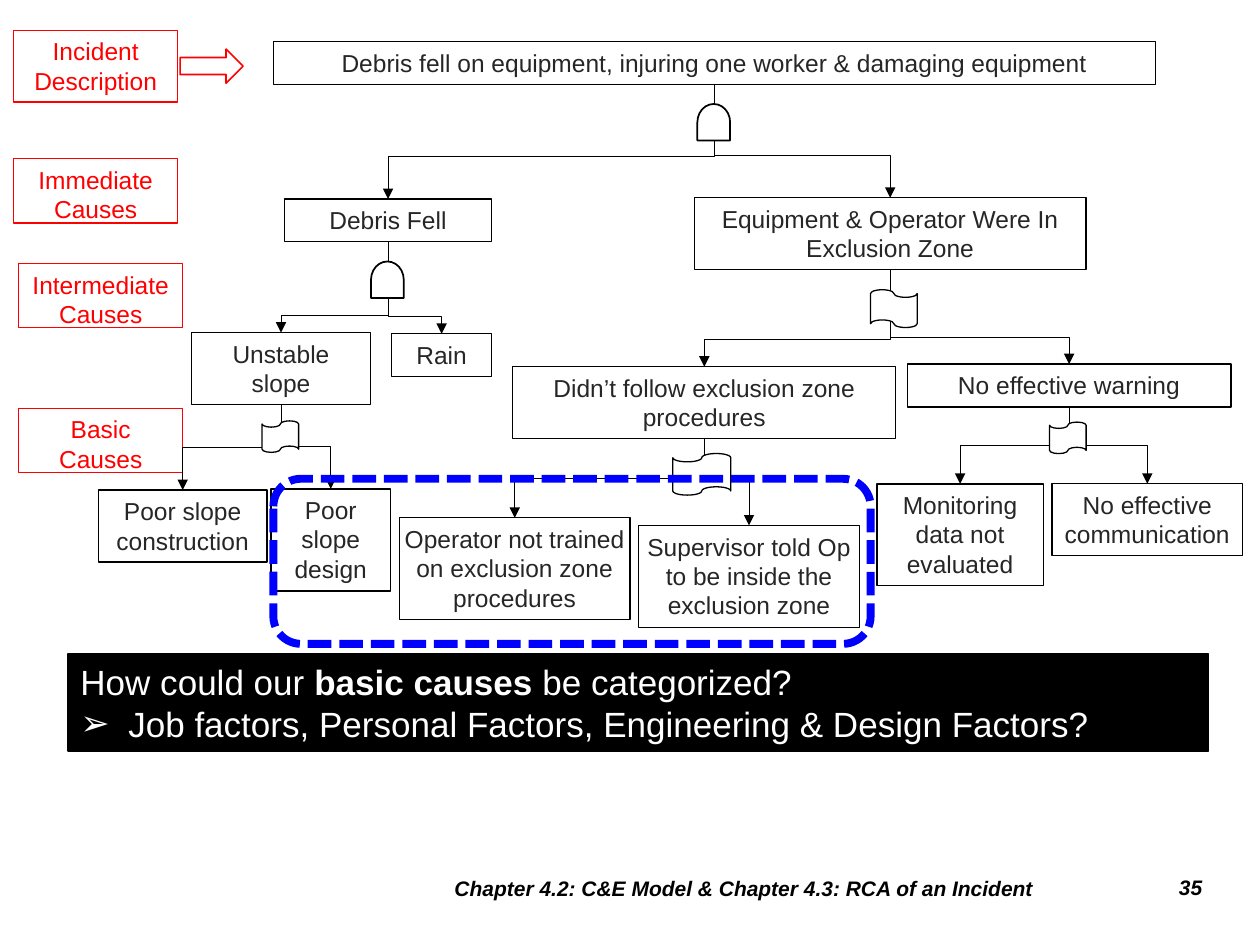
from lxml import etree
from pptx import Presentation
from pptx import util as u
from pptx.dml.color import RGBColor
from pptx.enum import dml, shapes, text
from pptx.oxml.ns import qn

WIDTH, HEIGHT = 10, 7.5
COLS, ROWS = 10, 7.5
COLORS = {"black": "000000", "white": "FFFFFF", "ink": "262626",
          "red": "FF0000", "blue": "0000FF"}
KIND = shapes.MSO_SHAPE
ALIGN = text.PP_ALIGN

STAGES = [
    ("Incident Description", (0.11, 0.24, 1.3, 0.57)),
    ("Immediate Causes", (0.11, 1.26, 1.3, 0.51)),
    ("Intermediate Causes", (0.15, 2.09, 1.3, 0.51)),
    ("Basic Causes", (0.15, 3.24, 1.3, 0.51)),
]

CAUSES = {
    "incident": ("Debris fell on equipment, injuring one worker & damaging equipment",
                 (2.17, 0.33, 7, 0.34)),
    "debris": ("Debris Fell", (2.26, 1.58, 1.64, 0.34)),
    "zone": ("Equipment & Operator Were In Exclusion Zone", (5.51, 1.57, 3.11, 0.57)),
    "slope": ("Unstable slope", (1.52, 2.64, 1.42, 0.57)),
    "rain": ("Rain", (3.11, 2.65, 0.79, 0.34)),
    "procedures": ("Didn’t follow exclusion zone procedures", (4.07, 2.91, 3.04, 0.57)),
    "warning": ("No effective warning", (7.2, 2.89, 2.57, 0.34)),
    "construction": ("Poor slope construction", (0.78, 3.89, 1.34, 0.57)),
    "design": ("Poor slope design", (2.15, 3.88, 0.95, 0.81)),
    "training": ("Operator not trained on exclusion zone procedures",
                 (3.17, 4.11, 1.83, 0.81)),
    "supervisor": ("Supervisor told Op to be inside the exclusion zone",
                   (5.07, 4.17, 1.75, 0.81)),
    "monitoring": ("Monitoring data not evaluated", (6.96, 3.84, 1.32, 0.81)),
    "communication": ("No effective communication", (8.35, 3.84, 1.51, 0.57)),
}
TIGHT = {"training", "supervisor"}

# parent, children, share of the drop before the bend, gate kind, gate place
AND, OR = KIND.FLOWCHART_DELAY, KIND.FLOWCHART_PUNCHED_TAPE
GATES = [
    ("incident", ("debris", "zone"), 0.63, AND, (5.52, 0.84, 0.29, 0.26)),
    ("debris", ("slope", "rain"), 0.81, AND, (2.93, 2.09, 0.29, 0.26)),
    ("zone", ("procedures", "warning"), 0.72, OR, (6.91, 2.3, 0.37, 0.3)),
    ("slope", ("construction", "design"), 0.5, OR, (2.08, 3.34, 0.29, 0.25)),
    ("procedures", ("training", "supervisor"), 0.5, OR, (5.34, 3.6, 0.46, 0.33)),
    ("warning", ("monitoring", "communication"), 0.5, OR, (8.33, 3.35, 0.29, 0.25)),
]


def rgb(name):
    return RGBColor.from_string(COLORS[name])


def write(p, words, size=14, color="ink", bold=None, italic=None,
          align=ALIGN.CENTER, font="Arial"):
    """Add one run to a paragraph."""
    p.alignment = align
    r = p.add_run()
    r.text = words
    f = r.font
    f.name, f.size, f.bold, f.italic = font, u.Pt(size), bold, italic
    f.color.rgb = rgb(color)


def bullet(p, char, indent):
    pPr = p._p.get_or_add_pPr()
    pPr.set("marL", str(u.Inches(indent)))
    pPr.set("indent", str(-u.Inches(indent)))
    etree.SubElement(pPr, qn("a:buFont"), typeface="Arial")
    etree.SubElement(pPr, qn("a:buChar"), char=char)


class Chart:
    """The fault tree's slide and the style of its elements."""

    def __init__(self, prs):
        self.col, self.row = prs.slide_width / COLS, prs.slide_height / ROWS
        self.s = prs.slides.add_slide(prs.slide_layouts[6])

    def place(self, left, top, width, height):
        return [round(n) for n in (left * self.col, top * self.row,
                                   width * self.col, height * self.row)]

    def shape(self, kind, at, fill="white", line="black", weight=0.75):
        sp = self.s.shapes.add_shape(kind, *self.place(*at))
        sp.shadow.inherit = False
        if fill:
            sp.fill.solid()
            sp.fill.fore_color.rgb = rgb(fill)
        else:
            sp.fill.background()
        sp.line.color.rgb = rgb(line)
        sp.line.width = u.Pt(weight)
        return sp

    def frame(self, sp, anchor=text.MSO_ANCHOR.TOP, side=0.1):
        tf = sp.text_frame
        tf.word_wrap = True
        tf.vertical_anchor = anchor
        tf.margin_left = tf.margin_right = u.Inches(side)
        tf.margin_top = tf.margin_bottom = u.Inches(0.05)
        return tf

    def box(self, words, at, line="black", color="ink", side=0.1):
        tf = self.frame(self.shape(KIND.RECTANGLE, at, line=line), side=side)
        write(tf.paragraphs[0], words, color=color)

    def label(self, words, at, anchor=text.MSO_ANCHOR.TOP, **fmt):
        tf = self.frame(self.s.shapes.add_textbox(*self.place(*at)), anchor)
        write(tf.paragraphs[0], words, **fmt)

    def branch(self, parent, child, bend):
        """Draw an elbow arrow from the parent's bottom to the child's top."""
        x1, y1 = parent[0] + parent[2] / 2, parent[1] + parent[3]
        x2, y2 = child[0] + child[2] / 2, child[1]
        drop, run = y2 - y1, abs(x2 - x1)
        # The elbow lies flat around its centre and is then turned upright.
        left, top, w, h = self.place((x1 + x2 - drop) / 2, (y1 + y2 - run) / 2, drop, run)
        c = self.s.shapes.add_connector(shapes.MSO_CONNECTOR.ELBOW,
                                        left, top, left + w, top + h)
        c.line.color.rgb = rgb("black")
        c.line.width = u.Pt(0.5)
        spPr = c._element.spPr
        xfrm = spPr.find(qn("a:xfrm"))
        xfrm.set("rot", str((90 if x2 < x1 else 270) * 60000))
        if x2 > x1:
            xfrm.set("flipH", "1")
        etree.SubElement(spPr.find(qn("a:prstGeom")).find(qn("a:avLst")), qn("a:gd"),
                         name="adj1", fmla=f"val {round(bend * 100000)}")
        etree.SubElement(spPr.find(qn("a:ln")), qn("a:tailEnd"), type="triangle")
        etree.SubElement(spPr, qn("a:effectLst"))

    def gate(self, kind, at):
        sp = self.shape(kind, at, weight=1 if kind == AND else 0.75)
        if kind == AND:
            sp.rotation = 270
        return sp

    def question(self, at):
        tf = self.frame(self.shape(KIND.RECTANGLE, at, fill="black"))
        fmt = {"size": 20, "color": "white", "align": ALIGN.LEFT}
        p = tf.paragraphs[0]
        write(p, "How could our ", **fmt)
        write(p, "basic causes", bold=True, **fmt)
        write(p, " be categorized?", **fmt)
        p = tf.add_paragraph()
        write(p, "Job factors, Personal Factors, Engineering & Design Factors?", **fmt)
        bullet(p, "➢", 0.38)


def main():
    prs = Presentation()
    prs.slide_width, prs.slide_height = u.Inches(WIDTH), u.Inches(HEIGHT)
    chart = Chart(prs)

    for words, at in STAGES:
        chart.box(words, at, line="red", color="red")
    chart.shape(KIND.RIGHT_ARROW, (1.43, 0.39, 0.5, 0.27), line="red", weight=1)

    for name, (words, at) in CAUSES.items():
        chart.box(words, at, side=0.04 if name in TIGHT else 0.1)
    for parent, children, bend, kind, at in GATES:
        for child in children:
            chart.branch(CAUSES[parent][1], CAUSES[child][1], bend)
        sp = chart.gate(kind, at)
        if parent == "zone":
            sp._element.spPr.find(qn("a:xfrm")).set("flipH", "1")

    chart.question((0.54, 5.19, 9.05, 0.77))
    focus = chart.shape(KIND.ROUNDED_RECTANGLE, (2.17, 3.8, 4.74, 1.31),
                        fill=None, line="blue", weight=4.5)
    focus.line.dash_style = dml.MSO_LINE.SQUARE_DOT

    footer = {"size": 12, "color": "black", "bold": True, "italic": True}
    chart.label("35", (9.06, 6.89, 0.58, 0.31), align=ALIGN.RIGHT, **footer)
    chart.label("Chapter 4.2: C&E Model & Chapter 4.3: RCA of an Incident",
                (2.95, 6.89, 5.91, 0.31), text.MSO_ANCHOR.MIDDLE, **footer)
    prs.save("out.pptx")


if __name__ == "__main__":
    main()
